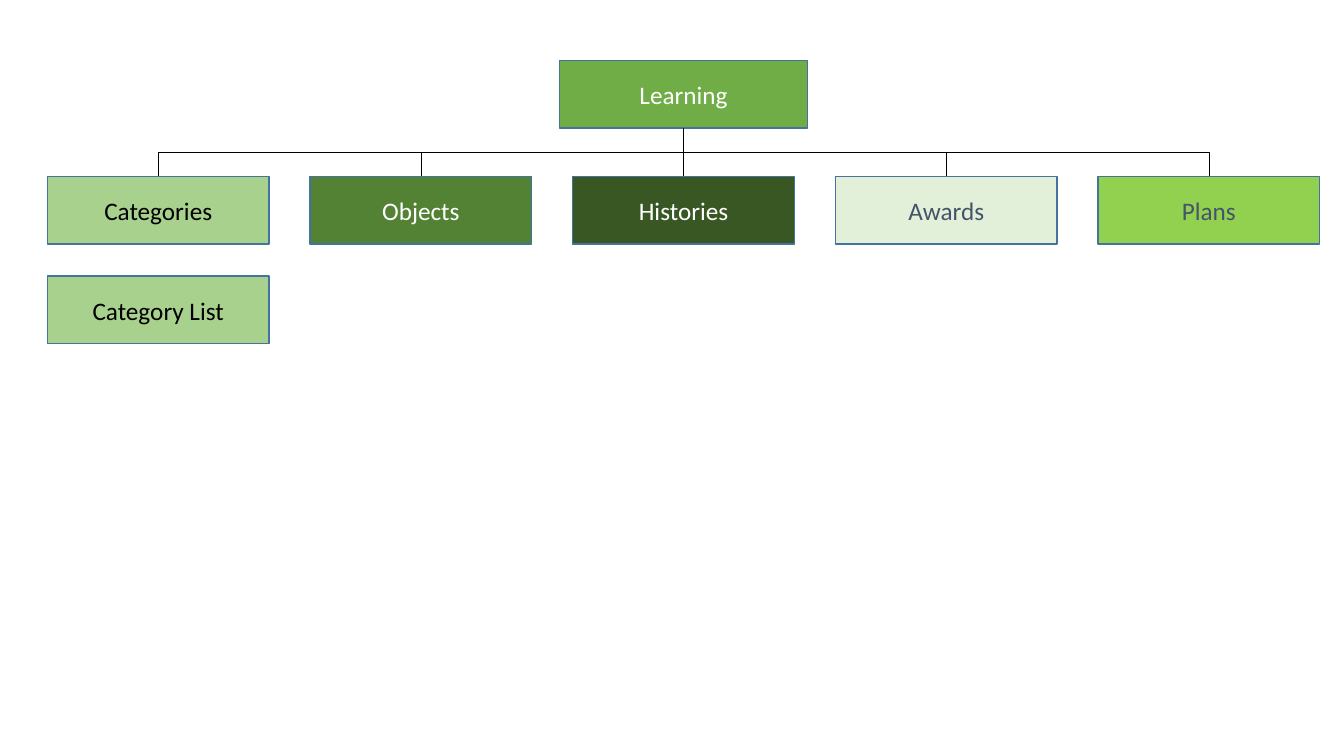
from pptx import Presentation
from pptx.dml.color import RGBColor
from pptx.enum.shapes import MSO_CONNECTOR, MSO_SHAPE
from pptx.enum.text import MSO_ANCHOR, PP_ALIGN
from pptx.oxml.ns import qn
from pptx.util import Inches, Pt
from lxml import etree

COLORS = {
    "green": "70AD47",
    "light": "A9D18E",
    "dark": "548235",
    "forest": "385723",
    "pale": "E2F0D9",
    "lime": "92D050",
    "border": "43739E",
    "white": "FFFFFF",
    "black": "000000",
    "slate": "44546A",
}
BOX_W, BOX_H, ROOT_W = 2.2, 0.67, 2.46
ROW_LEFT, ROW_RIGHT = 0.47, 13.09
ROOT_TOP, ROW_TOP, LIST_TOP = 0.6, 1.75, 2.74
BRANCHES = [
    ("Categories", "light", "black"),
    ("Objects", "dark", "white"),
    ("Histories", "forest", "white"),
    ("Awards", "pale", "slate"),
    ("Plans", "lime", "slate"),
]


def rgb(name):
    return RGBColor.from_string(COLORS[name])


class OrgChart:
    font = "Calibri"
    size = Pt(18)

    def __init__(self, slide):
        self.shapes = slide.shapes

    def box(self, text, left, top, fill, color, width=BOX_W):
        sp = self.shapes.add_shape(MSO_SHAPE.RECTANGLE, Inches(left), Inches(top),
                                   Inches(width), Inches(BOX_H))
        sp.shadow.inherit = False
        sp.fill.solid()
        sp.fill.fore_color.rgb = rgb(fill)
        sp.line.color.rgb = rgb("border")
        sp.line.width = Pt(1)
        tf = sp.text_frame
        tf.word_wrap = True
        tf.vertical_anchor = MSO_ANCHOR.MIDDLE
        p = tf.paragraphs[0]
        p.text = text
        p.alignment = PP_ALIGN.CENTER
        p.font.name = self.font
        p.font.size = self.size
        p.font.color.rgb = rgb(color)
        return sp

    def link(self, parent, child):
        x1, y1 = parent.left + parent.width // 2, parent.top + parent.height
        x2, y2 = child.left + child.width // 2, child.top
        cxn = self.shapes.add_connector(MSO_CONNECTOR.ELBOW, x1, y1, x2, y2)
        cxn.begin_connect(parent, 2)
        cxn.end_connect(child, 0)
        drop, run = y2 - y1, abs(x2 - x1)
        cxn.left, cxn.top = (x1 + x2 - drop) // 2, (y1 + y2 - run) // 2
        cxn.width, cxn.height = drop, run
        to_right = x2 > x1
        spPr = cxn._element.spPr
        xfrm = spPr.find(qn("a:xfrm"))
        xfrm.set("rot", str((270 if to_right else 90) * 60000))
        xfrm.set("flipH", "1" if to_right else "0")
        cxn.line.color.rgb = rgb("black")
        cxn.line.width = Pt(0.5)
        etree.SubElement(spPr, qn("a:effectLst"))


prs = Presentation()
prs.slide_width, prs.slide_height = Inches(13.33), Inches(7.5)
chart = OrgChart(prs.slides.add_slide(prs.slide_layouts[6]))

root_left = (ROW_LEFT + ROW_RIGHT - ROOT_W) / 2
root = chart.box("Learning", root_left, ROOT_TOP, "green", "white", ROOT_W)
pitch = (ROW_RIGHT - ROW_LEFT - BOX_W) / (len(BRANCHES) - 1)
branches = [chart.box(text, ROW_LEFT + i * pitch, ROW_TOP, fill, color)
            for i, (text, fill, color) in enumerate(BRANCHES)]
for branch in branches:
    chart.link(root, branch)
chart.box("Category List", ROW_LEFT, LIST_TOP, "light", "black")

prs.save("out.pptx")
